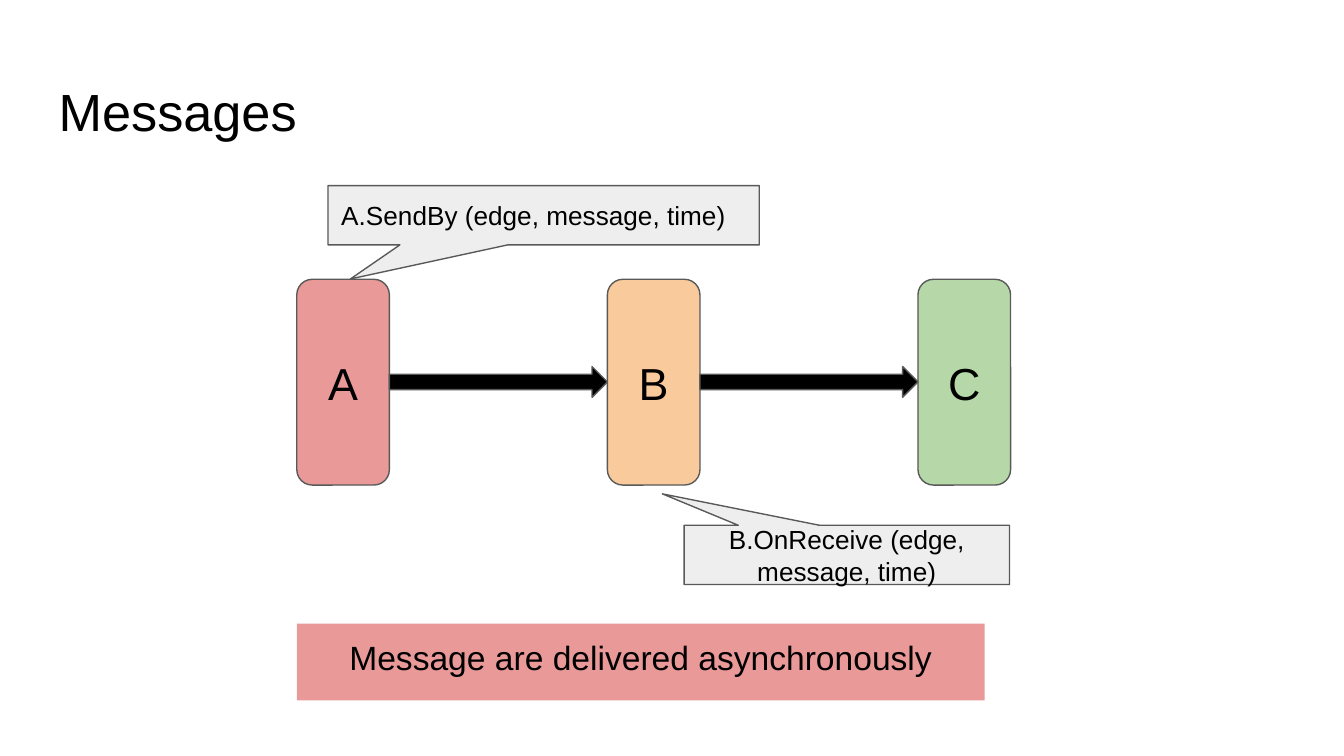
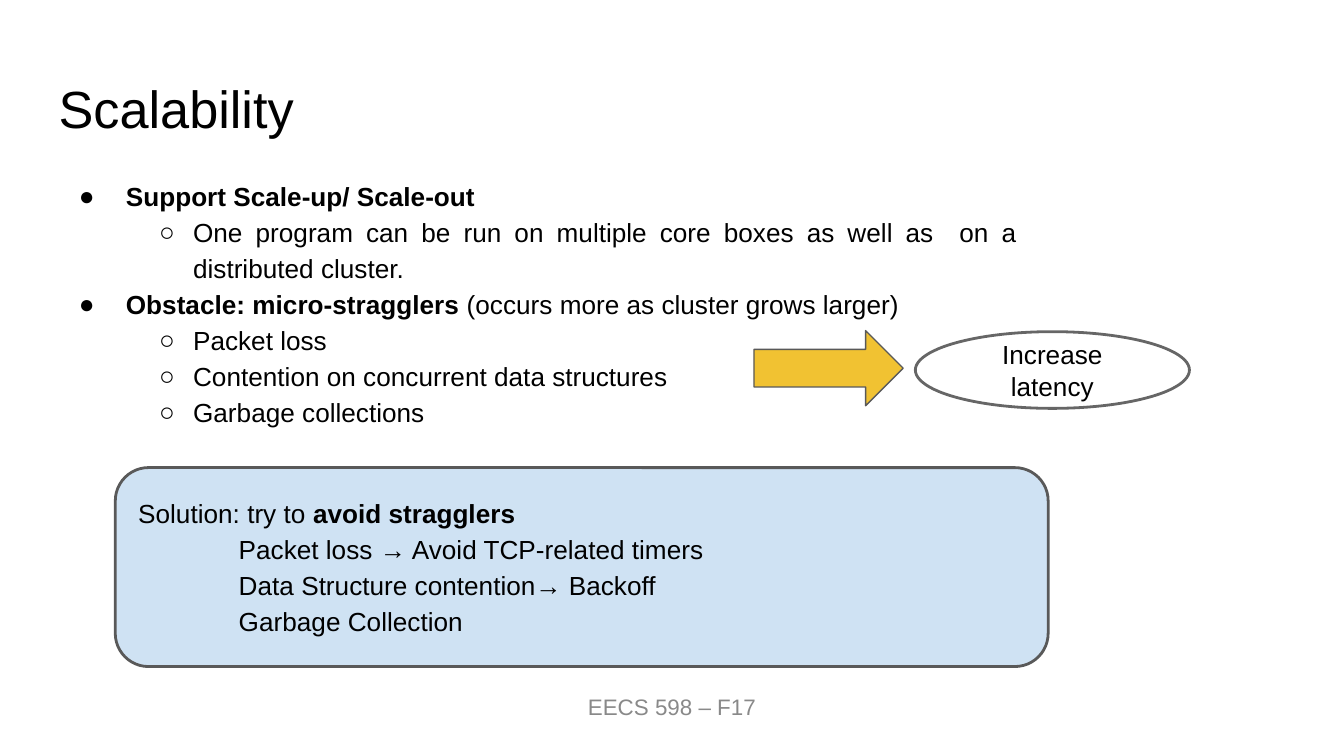
from lxml.etree import SubElement
from pptx import Presentation
from pptx.dml.color import RGBColor
from pptx.enum.shapes import MSO_SHAPE as Shape
from pptx.enum.text import MSO_ANCHOR as Anchor, PP_ALIGN as Align
from pptx.oxml.ns import qn
from pptx.util import Cm, Pt

FONT = "Arial"
BLACK, GRAY, OUTLINE, OVAL_LINE = "000000", "898989", "595959", "666666"
RED, ORANGE, GREEN = "EA9999", "F9CB9C", "B6D7A8"
BLUE, YELLOW, PALE = "CFE2F3", "F1C232", "EEEEEE"
INSET = Cm(0.25)
CORNER = [0.167]

NODES = [("A", RED), ("B", ORANGE), ("C", GREEN)]
NODE_LEFT, NODE_TOP, NODE_WIDTH, NODE_HEIGHT = 5.61, 5.28, 1.75, 3.89
NODE_PITCH = 5.87

# Paragraph styles: indents in cm, an optional bullet, and paragraph formats
PLAIN = {}
CENTERED = {"format": {"alignment": Align.CENTER}}
SPACED_CENTER = {"format": {"alignment": Align.CENTER, "line_spacing": 1.15}}
TOPIC = {"indent": (1.27, -0.89), "bullet": "●",
         "format": {"line_spacing": 1.15}}
INDENTED = {"indent": (2.54, -0.64),
            "format": {"level": 1, "line_spacing": 1.15}}
DETAIL = {**INDENTED, "bullet": "○"}
JUSTIFIED_DETAIL = {**DETAIL, "format": {**INDENTED["format"],
                                         "alignment": Align.JUSTIFY}}

OBSTACLES = [
    (TOPIC, [("Support Scale-up/ Scale-out", True)]),
    (JUSTIFIED_DETAIL, [("One program can be run on multiple core boxes as "
                         "well as  on a distributed cluster.", False)]),
    (TOPIC, [("Obstacle: micro-stragglers ", True),
             ("(occurs more as cluster grows larger)", False)]),
    (DETAIL, [("Packet loss", False)]),
    (DETAIL, [("Contention on concurrent data structures", False)]),
    (DETAIL, [("Garbage collections", False)]),
]
SOLUTION = [
    (PLAIN, [("Solution: try to ", False), ("avoid stragglers", True)]),
    (INDENTED, [("Packet loss → Avoid TCP-related timers", False)]),
    (INDENTED, [("Data Structure contention→ Backoff", False)]),
    (INDENTED, [("Garbage Collection", False)]),
]


def color(hex_text):
    return RGBColor.from_string(hex_text)


def set_all(target, values):
    for name, value in values.items():
        setattr(target, name, value)


def line_of(text, style=CENTERED):
    """Return a one-paragraph list in the form that write() takes."""
    return [(style, [(text, False)])]


def set_indent(para, margin, first_line, bullet):
    properties = para._p.get_or_add_pPr()
    properties.set("marL", str(Cm(margin)))
    properties.set("indent", str(Cm(first_line)))
    if bullet:
        tint = SubElement(properties, qn("a:buClr"))
        SubElement(tint, qn("a:srgbClr"), val=BLACK)
        SubElement(properties, qn("a:buFont"), typeface=FONT)
        SubElement(properties, qn("a:buChar"), char=bullet)
    else:
        SubElement(properties, qn("a:buNone"))


def write(shape, paragraphs, size, ink=BLACK, anchor=Anchor.MIDDLE):
    frame = shape.text_frame
    set_all(frame, {"word_wrap": True, "vertical_anchor": anchor,
                    "margin_left": INSET, "margin_right": INSET,
                    "margin_top": INSET, "margin_bottom": INSET})
    for number, (style, spans) in enumerate(paragraphs):
        para = frame.add_paragraph() if number else frame.paragraphs[0]
        if "indent" in style:
            set_indent(para, *style["indent"], style.get("bullet"))
        set_all(para, {"alignment": Align.LEFT, **style.get("format", {})})
        for text, bold in spans:
            span = para.add_run()
            span.text = text
            set_all(span.font, {"name": FONT, "size": Pt(size), "bold": bold})
            span.font.color.rgb = color(ink)


def add_text(slide, place, paragraphs, size, ink=BLACK):
    box = slide.shapes.add_textbox(*map(Cm, place))
    write(box, paragraphs, size, ink, Anchor.TOP)


def add_title(slide, text, top):
    add_text(slide, (0.86, top, 23.67, 1.6), line_of(text, PLAIN), 28)


def add_figure(slide, kind, place, fill=None, line=OUTLINE, weight=0.75,
               adjust=()):
    """Add a flat preset shape; without fill or line that part is left out."""
    shape = slide.shapes.add_shape(kind, *map(Cm, place))
    shape.shadow.inherit = False
    for index, value in enumerate(adjust):
        shape.adjustments[index] = value
    if fill:
        shape.fill.solid()
        shape.fill.fore_color.rgb = color(fill)
    else:
        shape.fill.background()
    if line:
        shape.line.color.rgb = color(line)
        shape.line.width = Pt(weight)
    else:
        shape.line.fill.background()
    return shape


def add_callout(slide, place, pointer, text, style):
    callout = add_figure(slide, Shape.RECTANGULAR_CALLOUT, place, PALE,
                         adjust=pointer)
    write(callout, line_of(text, style), 14)


def add_node_chain(slide):
    for number, (name, fill) in enumerate(NODES):
        left = NODE_LEFT + number * NODE_PITCH
        node = add_figure(slide, Shape.ROUNDED_RECTANGLE,
                          (left, NODE_TOP, NODE_WIDTH, NODE_HEIGHT), fill,
                          adjust=CORNER)
        write(node, line_of(name), 24)
        if number:
            gap = NODE_PITCH - NODE_WIDTH
            add_figure(slide, Shape.RIGHT_ARROW,
                       (left - gap, 6.93, gap, 0.58), BLACK)


def build_messages(slide):
    add_title(slide, "Messages", 1.24)
    add_node_chain(slide)
    add_callout(slide, (12.93, 9.93, 6.15, 1.12), (-0.567, -1.031),
                "B.OnReceive (edge, message, time)", CENTERED)
    add_callout(slide, (6.2, 3.51, 8.15, 1.12), (-0.448, 1.075),
                "A.SendBy (edge, message, time)", PLAIN)
    banner = add_figure(slide, Shape.RECTANGLE, (NODE_LEFT, 11.79, 13, 1.45),
                        RED, line=None)
    write(banner, line_of("Message are delivered asynchronously"), 18,
          anchor=Anchor.TOP)


def build_scalability(slide):
    add_title(slide, "Scalability", 1.19)
    add_text(slide, (10.31, 12.78, 4.78, 0.91),
             line_of("EECS 598 – F17", SPACED_CENTER), 12, GRAY)
    add_text(slide, (0.86, 3.07, 18.62, 5.51), OBSTACLES, 14)
    solution = add_figure(slide, Shape.ROUNDED_RECTANGLE,
                          (2.18, 8.84, 17.63, 3.76), BLUE, weight=1.5,
                          adjust=CORNER)
    write(solution, SOLUTION, 14)
    effect = add_figure(slide, Shape.OVAL, (17.3, 6.27, 5.18, 1.45),
                        line=OVAL_LINE, weight=1.5)
    write(effect, line_of("Increase latency"), 14)
    add_figure(slide, Shape.RIGHT_ARROW, (14.25, 6.25, 2.82, 1.42), YELLOW)


def main():
    deck = Presentation()
    set_all(deck, {"slide_width": Cm(25.4), "slide_height": Cm(14.29)})
    blank = deck.slide_layouts[6]
    for build in (build_messages, build_scalability):
        build(deck.slides.add_slide(blank))
    deck.save("out.pptx")


if __name__ == "__main__":
    main()
